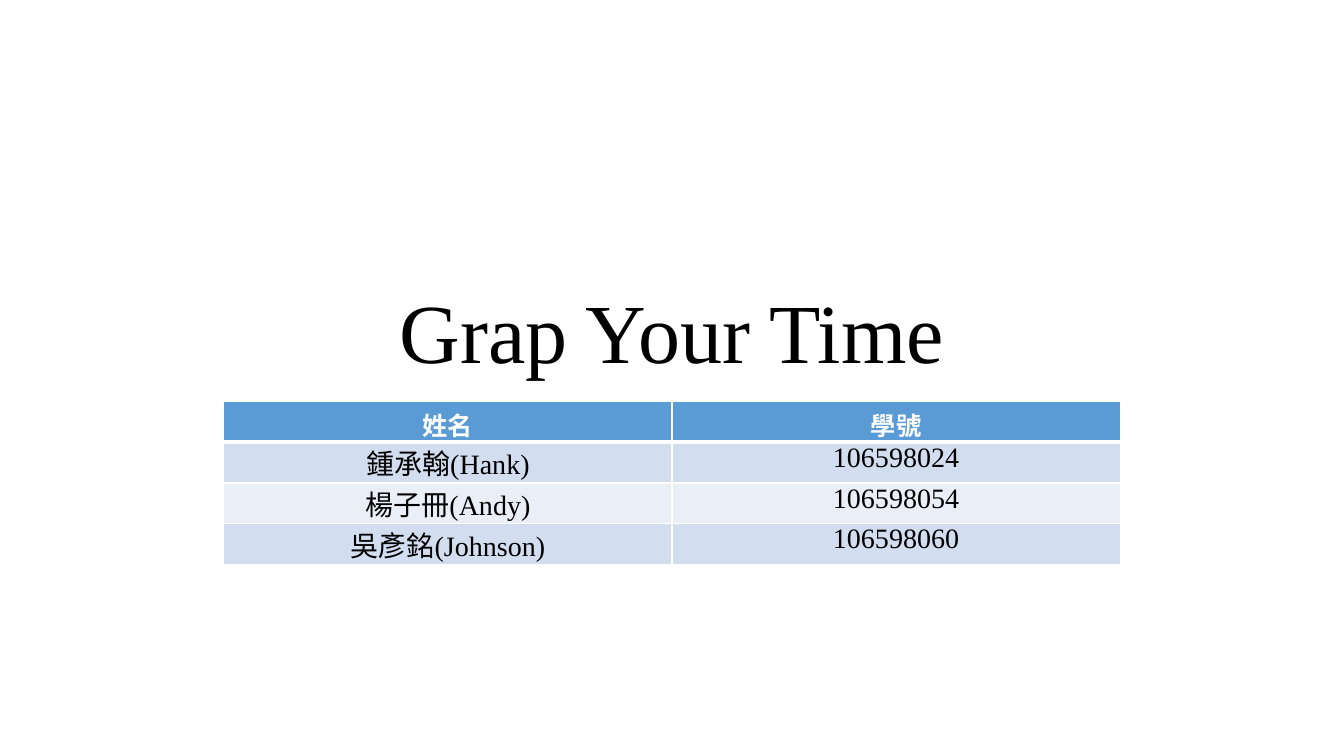
from pptx import Presentation
from pptx.dml.color import RGBColor
from pptx.enum.text import MSO_ANCHOR, PP_ALIGN
from pptx.oxml.ns import qn
from pptx.util import Inches, Pt
from lxml.etree import SubElement

FONT = "Times New Roman"
WHITE, BLACK, BLUE = "FFFFFF", "000000", "5B9BD5"
BANDS = ["D2DEEF", "EAEFF7"]
ROWS = [
    ("姓名", "學號"),
    ("鍾承翰(Hank)", "106598024"),
    ("楊子冊(Andy)", "106598054"),
    ("吳彥銘(Johnson)", "106598060"),
]


def color(code):
    return RGBColor.from_string(code)


def write(frame, text, size, ink, bold=False):
    par = frame.paragraphs[0]
    par.alignment = PP_ALIGN.CENTER
    run = par.add_run()
    run.text = text
    font = run.font
    font.name, font.size, font.bold = FONT, Pt(size), bold
    font.color.rgb = color(ink)
    return par


def edge(cell, side, width):
    line = SubElement(cell._tc.get_or_add_tcPr(), qn("a:ln" + side), w=str(Pt(width)))
    fill = SubElement(line, qn("a:solidFill"))
    SubElement(fill, qn("a:srgbClr"), val=WHITE)


def title(slide, box, text):
    frame = slide.shapes.add_textbox(*box).text_frame
    frame.word_wrap = True
    frame.vertical_anchor = MSO_ANCHOR.BOTTOM
    write(frame, text, 60, BLACK).line_spacing = 0.9


def roster(slide, box, rows):
    table = slide.shapes.add_table(len(rows), len(rows[0]), *box).table
    for r, row in enumerate(rows):
        head = r == 0
        for c, text in enumerate(row):
            cell = table.cell(r, c)
            # White rules, heavier under the header
            for side in "LRTB":
                heavy = (side == "B" and head) or (side == "T" and r == 1)
                edge(cell, side, 3 if heavy else 1)
            # Banded fill
            cell.fill.solid()
            cell.fill.fore_color.rgb = color(BLUE if head else BANDS[(r - 1) % 2])
            # Text
            if head:
                write(cell.text_frame, text, 18, WHITE, True)
            else:
                cell.margin_left = cell.margin_right = Inches(0.07)
                cell.margin_top = cell.margin_bottom = 0
                write(cell.text_frame, text, 20, BLACK)


deck = Presentation()
deck.slide_width, deck.slide_height = Inches(13.33), Inches(7.5)
WIDE, HIGH = deck.slide_width, deck.slide_height


def area(top, width, height):
    """Box centred across the slide, in shares of its size."""
    return [int(v) for v in (WIDE * (1 - width) / 2, HIGH * top,
                             WIDE * width, HIGH * height)]


page = deck.slides.add_slide(deck.slide_layouts[6])
title(page, area(0.164, 0.75, 0.348), "Grap Your Time")
roster(page, area(0.531, 0.667, 0.216), ROWS)
deck.save("out.pptx")
